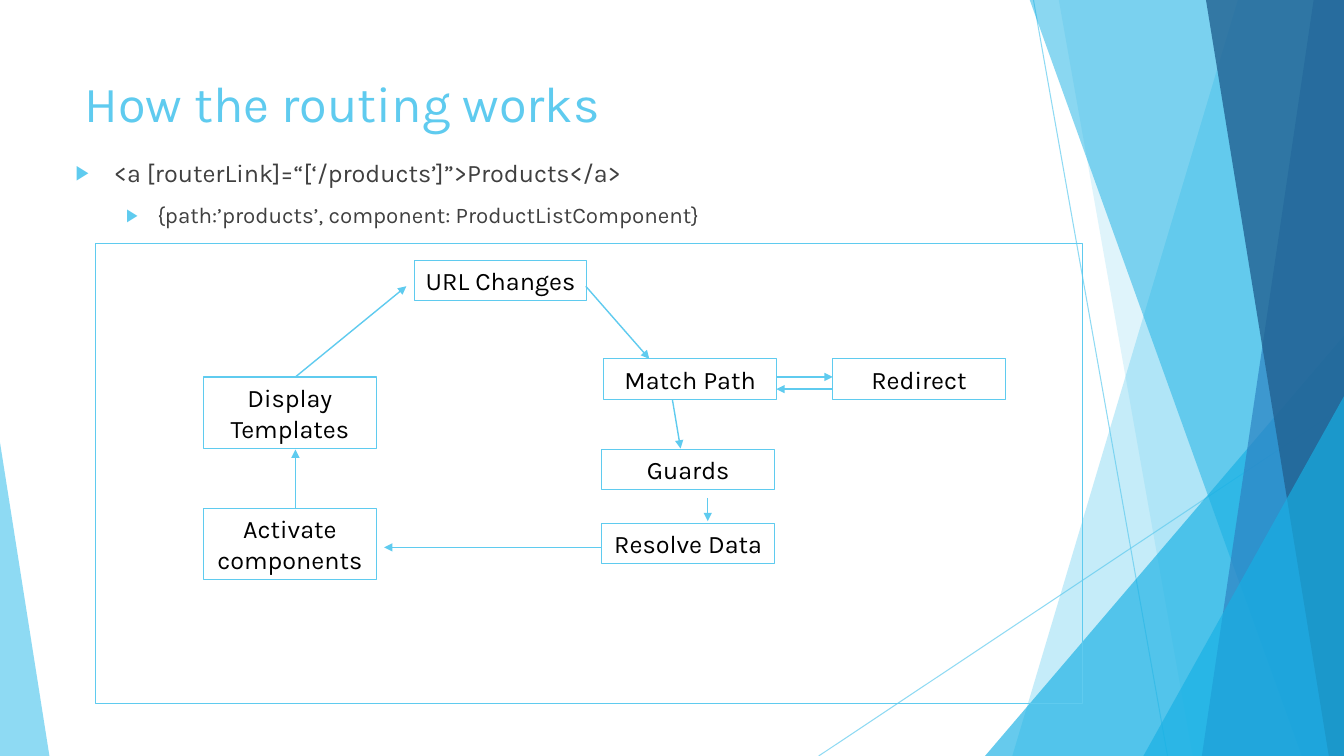
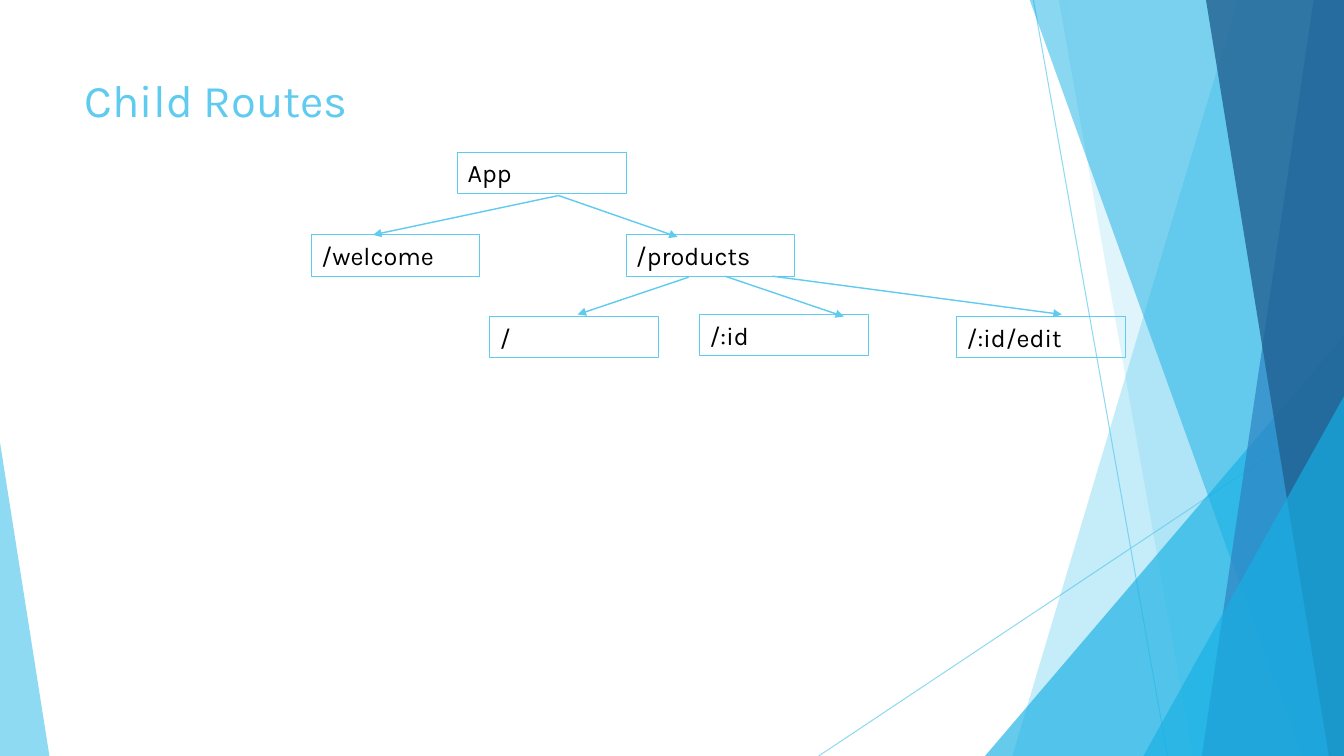
import pptx
import pptx.dml.color
import pptx.enum.shapes
import pptx.enum.text
import pptx.oxml.ns
import pptx.util
from lxml import etree

PX = 9144
SLIDE_BOX = (0, 0, 1333, 750)
FONT = "Karla"
SKY = pptx.dml.color.RGBColor(0x5F, 0xCB, 0xEF)
CYAN = pptx.dml.color.RGBColor(0x17, 0xB0, 0xE4)
BLUE = pptx.dml.color.RGBColor(0x2E, 0x83, 0xC3)
NAVY = pptx.dml.color.RGBColor(0x22, 0x62, 0x92)
GREY = pptx.dml.color.RGBColor(0x40, 0x40, 0x40)
BLACK = pptx.dml.color.RGBColor(0, 0, 0)
SHAPES = pptx.enum.shapes.MSO_SHAPE
ALIGN = pptx.enum.text.PP_ALIGN
ANCHOR = pptx.enum.text.MSO_ANCHOR
NO_FIT = pptx.enum.text.MSO_AUTO_SIZE.NONE


def apply_format(target, values):
    """Set each named attribute of the target."""
    for name, value in values.items():
        setattr(target, name, value)


def place(shape, box):
    """Move a shape to a px box."""
    names = ("left", "top", "width", "height")
    apply_format(shape, {name: length * PX for name, length in zip(names, box)})


def add_element(parent, tag, **attributes):
    """Append a DrawingML element."""
    return etree.SubElement(parent, pptx.oxml.ns.qn(tag), attributes)


def style_text(paragraph, size, color):
    """Give a paragraph its font, size and colour."""
    apply_format(paragraph.font, {"name": FONT, "size": pptx.util.Pt(size)})
    paragraph.font.color.rgb = color


def set_opacity(shape, percent):
    """Make the colours of a shape translucent."""
    for color in shape._element.spPr.iter(pptx.oxml.ns.qn("a:srgbClr")):
        add_element(color, "a:alpha", val=str(percent * 1000))


def add_line(slide, start, end, width):
    """Draw a sky-blue straight line without a shadow."""
    points = [length * PX for length in (*start, *end)]
    line = slide.shapes.add_connector(pptx.enum.shapes.MSO_CONNECTOR.STRAIGHT, *points)
    line.line.color.rgb = SKY
    line.line.width = pptx.util.Pt(width)
    add_element(line._element.spPr, "a:effectLst")
    return line


def fill_facet(shape, color, opacity):
    """Fill a facet with one translucent colour and no outline."""
    shape.shadow.inherit = False
    shape.fill.solid()
    shape.fill.fore_color.rgb = color
    shape.line.fill.background()
    set_opacity(shape, opacity)
    return shape


def add_panel(slide, box, top_x, bottom_x):
    """Draw a slanted panel that reaches the right edge of the box."""
    left, top, width, height = box
    right, bottom = left + width, top + height
    builder = slide.shapes.build_freeform(left + top_x, top - 1, scale=PX)
    builder.add_line_segments([(right, top - 1), (right, bottom), (left + bottom_x, bottom)])
    return builder.convert_to_shape()


def add_triangle(slide, box, x, y, width, apex):
    """Draw a triangle that stands on the bottom of the box."""
    area = (box[0] + x, box[1] + y, width, box[3] - y)
    shape = slide.shapes.add_shape(SHAPES.ISOSCELES_TRIANGLE, *[length * PX for length in area])
    shape.adjustments[0] = apex
    return shape


def add_facets(slide, box):
    """Draw the faceted side decoration and return its shapes."""
    left, top = box[:2]
    shapes = []
    for x1, y1, x2, y2 in ((1025, 0, 1158, 750), (1333, 403, 812, 750)):
        line = add_line(slide, (left + x1, top + y1), (left + x2, top + y2), 0.75)
        set_opacity(line, 70)
        shapes.append(line)
    facets = (
        (add_panel, (1228, 1004), SKY, 36),
        (add_panel, (1050, 1183), SKY, 20),
        (add_triangle, (977, 333, 356, 1), CYAN, 66),
        (add_panel, (1021, 1291), CYAN, 50),
        (add_panel, (1303, 1192), BLUE, 70),
        (add_panel, (1196, 1318), NAVY, 80),
        (add_triangle, (1134, 393, 199, 1), CYAN, 66),
        (add_triangle, (0, 439, 49, 0), SKY, 70),
    )
    for draw, geometry, color, opacity in facets:
        shapes.append(fill_facet(draw(slide, box, *geometry), color, opacity))
    return shapes


def move_to_master(master, shapes):
    """Put shapes behind the placeholders of the master."""
    for index, shape in enumerate(shapes, start=2):
        master.shapes._spTree.insert(index, shape._element)


def fill_title(slide, box, text, size):
    """Place and format the slide title."""
    title = slide.shapes.title
    place(title, box)
    title.text_frame.text = text
    apply_format(title.text_frame, {"vertical_anchor": ANCHOR.TOP, "auto_size": NO_FIT, "word_wrap": True})
    paragraph = title.text_frame.paragraphs[0]
    paragraph.alignment = ALIGN.LEFT
    style_text(paragraph, size, SKY)


def fill_list(slide, box, items):
    """Fill the body placeholder with arrow bullets, one level per item."""
    body = slide.placeholders[1]
    place(body, box)
    frame = body.text_frame
    frame.text = "\n".join(items)
    apply_format(frame, {"vertical_anchor": ANCHOR.TOP, "auto_size": NO_FIT})
    levels = ((18, 38, 38), (16, 81, 31))
    for level, (paragraph, (size, margin, hanging)) in enumerate(zip(frame.paragraphs, levels)):
        apply_format(paragraph, {"level": level, "space_before": pptx.util.Pt(10)})
        style_text(paragraph, size, GREY)
        properties = paragraph._p.get_or_add_pPr()
        properties.set("marL", str(margin * PX))
        properties.set("indent", str(-hanging * PX))
        add_element(add_element(properties, "a:buClr"), "a:srgbClr", val=str(SKY))
        add_element(properties, "a:buSzPct", val="80000")
        add_element(properties, "a:buChar", char="▶")


def add_outline(slide, box):
    """Draw an unfilled rectangle with a thin sky-blue line."""
    shape = slide.shapes.add_shape(SHAPES.RECTANGLE, *[length * PX for length in box])
    shape.shadow.inherit = False
    shape.fill.background()
    shape.line.color.rgb = SKY
    shape.line.width = pptx.util.Pt(0.75)
    return shape


def add_diagram(slide, box, nodes, arrows, node_width, alignment):
    """Draw labelled nodes and arrows, measured from the corner of the box."""
    left, top = box[:2]
    for text, x, y, height in nodes:
        node = add_outline(slide, (left + x, top + y, node_width, height))
        node.text_frame.text = text
        apply_format(node.text_frame, {"word_wrap": True, "vertical_anchor": ANCHOR.MIDDLE})
        paragraph = node.text_frame.paragraphs[0]
        paragraph.alignment = alignment
        style_text(paragraph, 18, BLACK)
    for x1, y1, x2, y2 in arrows:
        arrow = add_line(slide, (left + x1, top + y1), (left + x2, top + y2), 1)
        add_element(arrow.line._get_or_add_ln(), "a:tailEnd", type="triangle")


def add_routing_cycle(slide, box):
    """Draw the framed cycle of routing steps."""
    single, double = 40, 71
    nodes = (
        ("URL Changes", 316, 16, single),
        ("Match Path", 504, 114, single),
        ("Redirect", 731, 114, single),
        ("Guards", 502, 204, single),
        ("Resolve Data", 502, 277, single),
        ("Activate components", 107, 262, double),
        ("Display Templates", 107, 132, double),
    )
    arrows = (
        (486, 42, 549, 114),
        (675, 132, 731, 132),
        (731, 144, 675, 144),
        (572, 155, 580, 203),
        (607, 252, 607, 275),
        (502, 301, 286, 301),
        (198, 262, 198, 204),
        (198, 132, 308, 42),
    )
    add_outline(slide, box)
    add_diagram(slide, box, nodes, arrows, 171, ALIGN.CENTER)


def add_route_tree(slide, box):
    """Draw the tree of parent and child routes."""
    height = 41
    nodes = (
        ("App", 145, 0, height),
        ("/welcome", 0, 82, height),
        ("/products", 312, 82, height),
        ("/", 177, 163, height),
        ("/:id", 385, 161, height),
        ("/:id/edit", 640, 163, height),
    )
    arrows = (
        (245, 43, 61, 82),
        (245, 43, 363, 84),
        (410, 123, 528, 163),
        (457, 123, 744, 161),
        (374, 124, 264, 161),
    )
    add_diagram(slide, box, nodes, arrows, 167, ALIGN.LEFT)


def build_routing_slide(presentation):
    """Add the slide on how routing works."""
    slide = presentation.slides.add_slide(presentation.slide_layouts[1])
    fill_title(slide, (74, 67, 940, 144), "How the routing works", 36)
    items = (
        "<a [routerLink]=“[‘/products’]”>Products</a>",
        "{path:’products’, component: ProductListComponent}",
    )
    fill_list(slide, (65, 151, 940, 83), items)
    add_routing_cycle(slide, (95, 242, 979, 456))
    return slide


def build_child_routes_slide(presentation):
    """Add the slide on child routes."""
    slide = presentation.slides.add_slide(presentation.slide_layouts[5])
    fill_title(slide, (74, 67, 940, 65), "Child Routes", 32.4)
    add_route_tree(slide, (309, 151, 807, 204))


def main():
    """Build and save the presentation."""
    presentation = pptx.Presentation()
    size = {"slide_width": SLIDE_BOX[2] * PX, "slide_height": SLIDE_BOX[3] * PX}
    apply_format(presentation, size)
    routing_slide = build_routing_slide(presentation)
    move_to_master(presentation.slide_master, add_facets(routing_slide, SLIDE_BOX))
    build_child_routes_slide(presentation)
    presentation.save("out.pptx")


if __name__ == "__main__":
    main()
